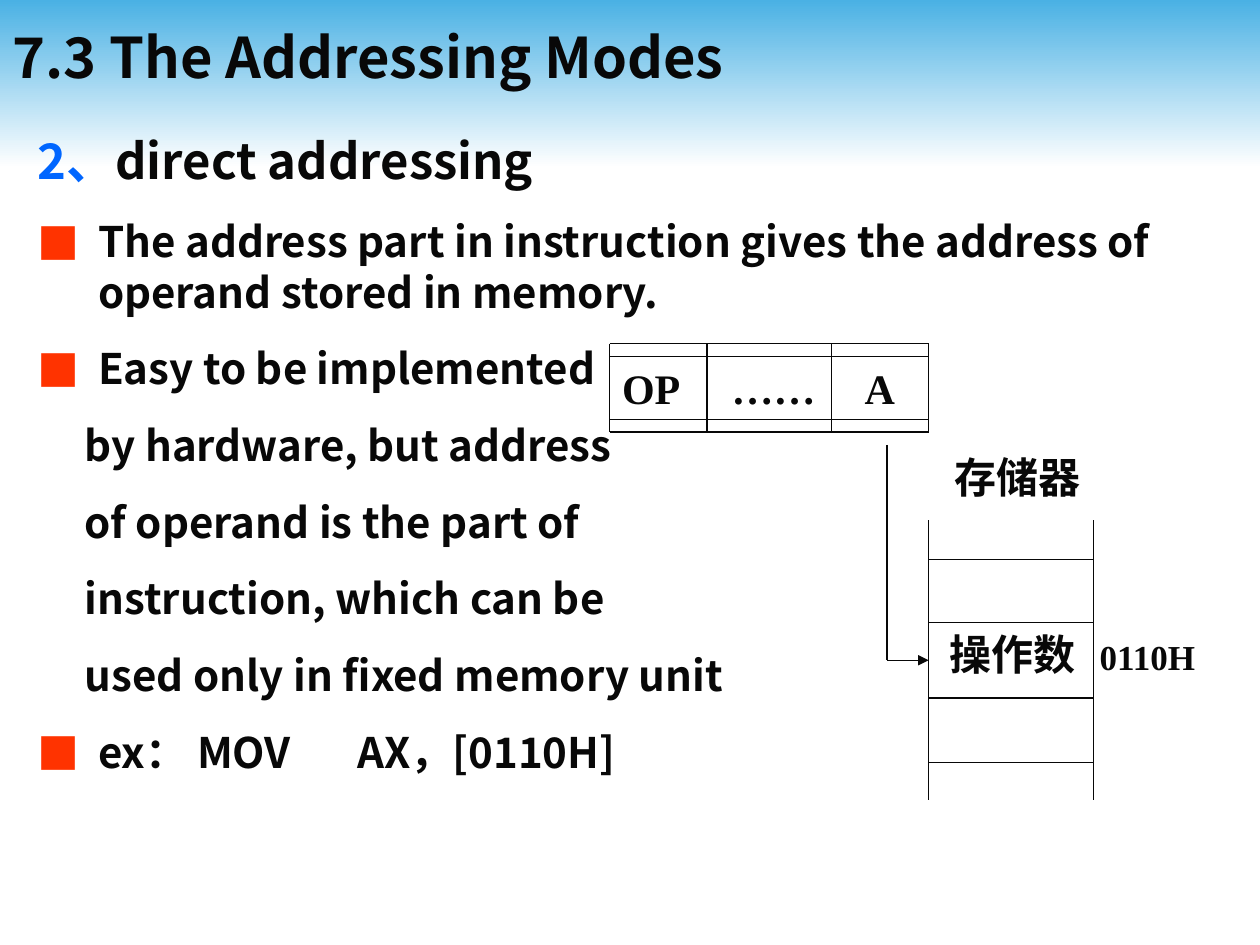
"""Builds the slide on direct addressing, with its register and memory diagram."""
import pptx
import pptx.dml.color
import pptx.enum.shapes
import pptx.enum.text
import pptx.oxml
import pptx.oxml.ns
import pptx.util
from pptx.util import Cm, Pt

COLORS = {"sky": "4AB1E4", "white": "FFFFFF", "ink": "080808", "number": "0066FF", "bullet": "FF3300"}
SANS, SERIF = "Noto Sans CJK JP", "Times New Roman"
BODY = [
    ("The address part in instruction gives the address of operand stored in memory.", True),
    ("Easy to be implemented", True),
    ("by hardware, but address", False),
    ("of operand is the part of", False),
    ("instruction, which can be", False),
    ("used only in fixed memory unit", False),
    ("ex： MOV\tAX，[0110H]", True),
]
FIELD_XS = (12.29, 14.25, 16.76, 18.72)
FIELD_TOP, FIELD_BOTTOM = 6.93, 8.71
MEMORY_LEFT, MEMORY_RIGHT = 18.72, 22.05
MEMORY_TOP, MEMORY_BOTTOM = 10.49, 16.13
CELL_YS = (11.28, 12.55, 14.07, 15.37)
POINTER_X, POINTER_TOP, POINTER_END = 17.88, 8.97, 13.31


def rgb(name):
    return pptx.dml.color.RGBColor.from_string(COLORS[name])


def add_xml(parent, tag, **attributes):
    element = pptx.oxml.parse_xml(f'<a:{tag} {pptx.oxml.ns.nsdecls("a")}/>')
    for key, value in attributes.items():
        element.set(key, str(value))
    parent.append(element)
    return element


def set_indent(paragraph, left, first=0):
    properties = paragraph._p.get_or_add_pPr()
    properties.set("marL", str(Cm(left)))
    properties.set("indent", str(Cm(first)))


def set_bullet(paragraph):
    properties = paragraph._p.get_or_add_pPr()
    add_xml(add_xml(properties, "buClr"), "srgbClr", val=COLORS["bullet"])
    add_xml(properties, "buFont", typeface=SANS)
    add_xml(properties, "buChar", char="■")


def set_tabs(paragraph, *stops):
    tabs = add_xml(paragraph._p.get_or_add_pPr(), "tabLst")
    for stop in stops:
        add_xml(tabs, "tab", pos=Cm(stop), algn="l")


def format_run(run, size, font, color="ink"):
    run.font.size, run.font.bold, run.font.name = Pt(size), True, font
    run.font.color.rgb = rgb(color)
    add_xml(run._r.get_or_add_rPr(), "ea", typeface=SANS)


def add_text(slide, left, top, width, height, text, size, font):
    box = slide.shapes.add_textbox(Cm(left), Cm(top), Cm(width), Cm(height))
    frame = box.text_frame
    frame.word_wrap = True
    frame.text = text
    format_run(frame.paragraphs[0].runs[0], size, font)
    return frame


def add_line(slide, x1, y1, x2, y2, arrow=False):
    line = slide.shapes.add_connector(
        pptx.enum.shapes.MSO_CONNECTOR.STRAIGHT, Cm(x1), Cm(y1), Cm(x2), Cm(y2))
    line.line.color.rgb = rgb("ink")
    line.line.width = Pt(0.75)
    if arrow:
        add_xml(line.line._get_or_add_ln(), "tailEnd", type="triangle")
    add_xml(line._element.spPr, "effectLst")


def add_rectangle(slide, left, top, width, height):
    rectangle = slide.shapes.add_shape(
        pptx.enum.shapes.MSO_SHAPE.RECTANGLE, Cm(left), Cm(top), Cm(width), Cm(height))
    rectangle.shadow.inherit = False
    return rectangle


def add_banner(slide):
    banner = add_rectangle(slide, 0, 0, 25.4, 3.38)
    banner.line.fill.background()
    banner.fill.gradient()
    banner.fill.gradient_angle = 270
    for stop, color, position in zip(banner.fill.gradient_stops, ("sky", "white"), (0, 1)):
        stop.color.rgb = rgb(color)
        stop.position = position


def add_body(slide):
    frame = add_text(slide, 0.51, 2.51, 24.21, 15.6, "2、", 28, SANS)
    heading = frame.paragraphs[0]
    heading.runs[0].font.color.rgb = rgb("number")
    topic = heading.add_run()
    topic.text = "direct addressing"
    format_run(topic, 28, SANS)
    for text, bulleted in BODY:
        point = frame.add_paragraph()
        point.text = text
        point.space_before = Pt(15)
        if bulleted:
            set_indent(point, 1.22, -1.22)
            set_bullet(point)
        else:
            set_indent(point, 0.95)
        if "\t" in text:
            set_tabs(point, 6.45)
        for run in point.runs:
            format_run(run, 24, SANS)


def add_instruction(slide):
    for x in FIELD_XS:
        add_line(slide, x, FIELD_TOP, x, FIELD_BOTTOM)
    for y in (FIELD_TOP, FIELD_BOTTOM):
        add_line(slide, FIELD_XS[0], y, FIELD_XS[-1], y)
    fields = add_rectangle(slide, FIELD_XS[0], 7.19, FIELD_XS[-1] - FIELD_XS[0], 1.27)
    fields.fill.background()
    fields.line.color.rgb = rgb("ink")
    fields.line.width = Pt(0.75)
    frame = fields.text_frame
    frame.vertical_anchor = pptx.enum.text.MSO_ANCHOR.TOP
    frame.text = "OP\t……\tA"
    names = frame.paragraphs[0]
    names.alignment = pptx.enum.text.PP_ALIGN.LEFT
    set_tabs(names, 2.21, 4.89)
    format_run(names.runs[0], 24, SERIF)


def add_memory(slide):
    for x in (MEMORY_LEFT, MEMORY_RIGHT):
        add_line(slide, x, MEMORY_TOP, x, MEMORY_BOTTOM)
    for y in CELL_YS:
        add_line(slide, MEMORY_LEFT, y, MEMORY_RIGHT, y)
    add_text(slide, 19, 8.97, 4.19, 1.27, "存储器", 24, SERIF)
    frame = add_text(slide, MEMORY_LEFT, CELL_YS[1], 6.68, 1.27, "操作数", 24, SERIF)
    frame.margin_left = Cm(0.43)
    operand = frame.paragraphs[0]
    set_tabs(operand, 3.02)
    address = operand.add_run()
    address.text = "\t0110H"
    format_run(address, 20, SERIF)


def add_pointer(slide):
    add_line(slide, POINTER_X, POINTER_TOP, POINTER_X, POINTER_END)
    add_line(slide, POINTER_X, POINTER_END, MEMORY_LEFT, POINTER_END, arrow=True)


def main():
    deck = pptx.Presentation()
    deck.slide_width, deck.slide_height = Cm(25.4), Cm(19.05)
    slide = deck.slides.add_slide(deck.slide_layouts[6])
    add_banner(slide)
    title = add_text(slide, 0, 0.13, 25.4, 2.01, "7.3 The Addressing Modes", 32, SANS)
    title.vertical_anchor = pptx.enum.text.MSO_ANCHOR.MIDDLE
    add_body(slide)
    add_instruction(slide)
    add_memory(slide)
    add_pointer(slide)
    deck.save("out.pptx")


if __name__ == "__main__":
    main()
